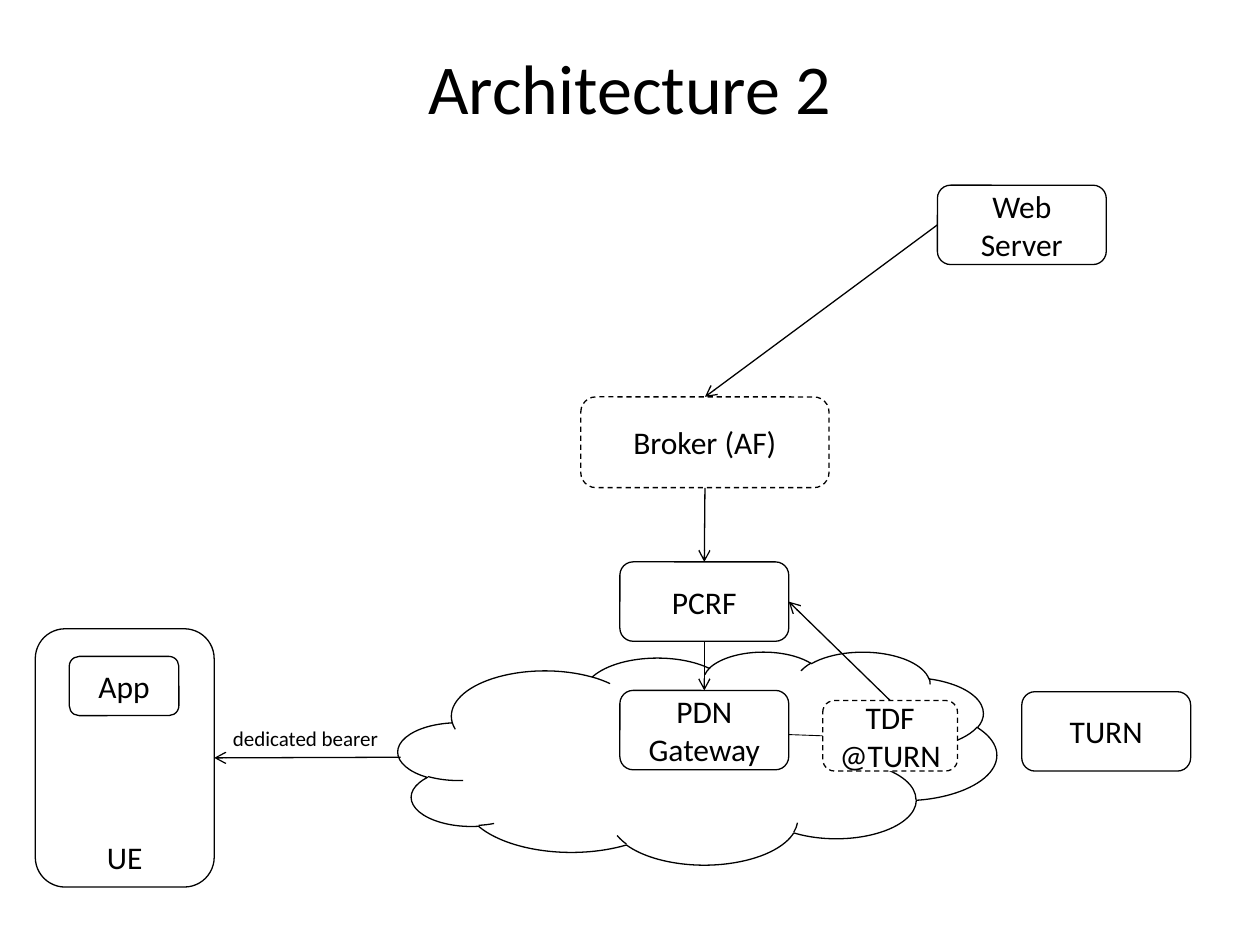
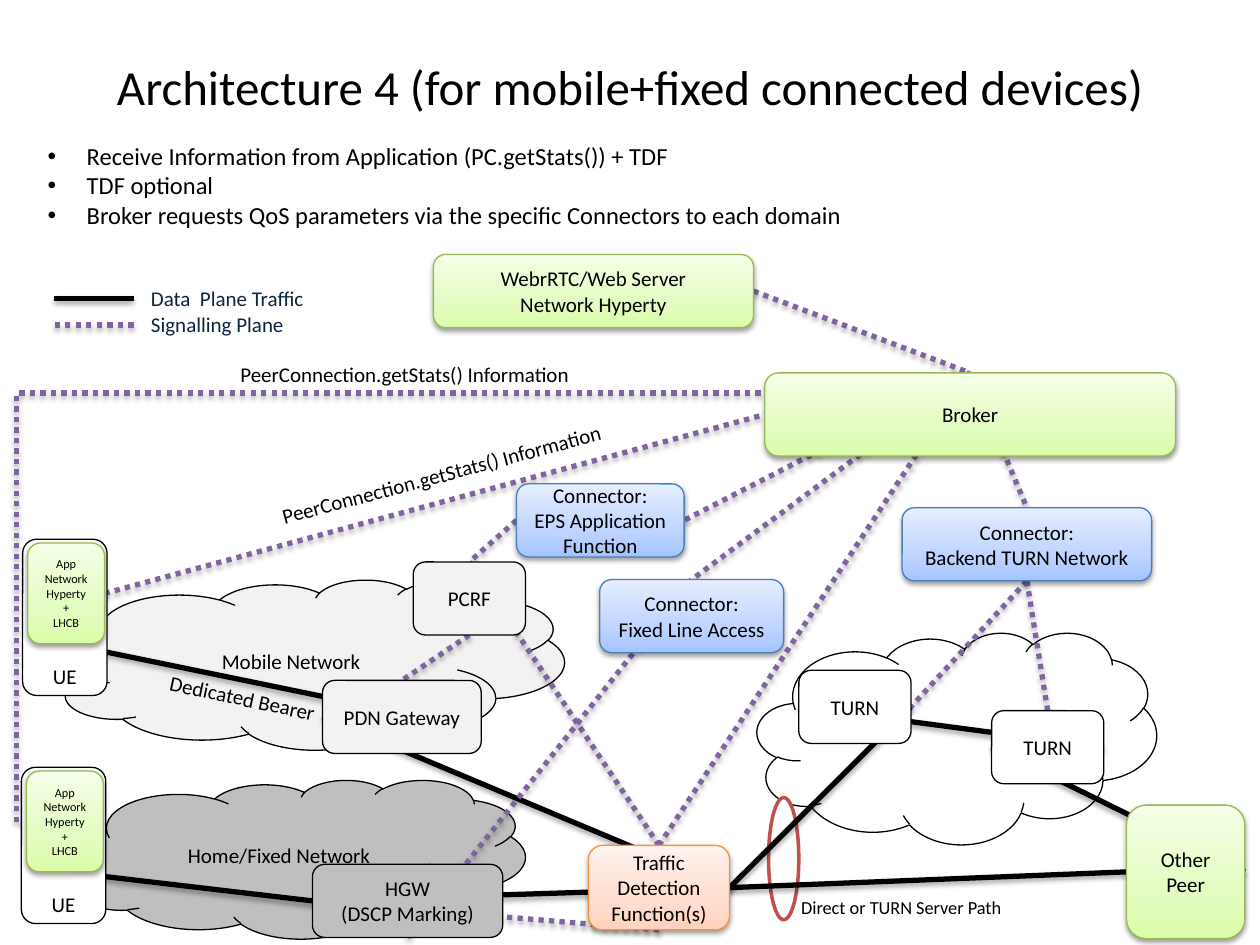
from copy import deepcopy

from lxml.etree import SubElement
from pptx import Presentation
from pptx.dml.color import RGBColor
from pptx.enum.dml import MSO_LINE_DASH_STYLE as Dash
from pptx.enum.shapes import MSO_CONNECTOR_TYPE as Connector
from pptx.enum.shapes import MSO_SHAPE as Preset
from pptx.enum.text import MSO_ANCHOR as Anchor
from pptx.enum.text import PP_ALIGN as Align
from pptx.oxml.ns import qn
from pptx.util import Emu, Inches, Pt

FONT = "Calibri"
COLORS = {
    "black": "000000", "white": "FFFFFF", "navy": "0F243E",
    "light grey": "F2F2F2", "grey": "BFBFBF", "purple": "8064A2",
    "red": "C0504D", "green edge": "98B955", "blue edge": "4B7EBC",
    "orange edge": "F69240",
}
GRADIENTS = {  # from bottom to top
    "green": ("DAFDA7", "E4FCC2", "F5FFE7"),
    "blue": ("A4C4FF", "BFD4FF", "E6EEFF"),
    "orange": ("FFD2BD", "FFDED0", "FFF2ED"),
}
GRADIENT_POSITIONS = (0, 0.35, 1)

BOX_STYLES = {
    "plain": {"fill": "white"},
    "optional": {"fill": "white", "dash": Dash.DASH},
    "device": {"fill": "white", "anchor": Anchor.BOTTOM},
    "mobile": {"fill": "light grey"},
    "fixed": {"fill": "grey"},
    "path": {"fill": "white", "edge": "red", "width": 2},
    "green": {"gradient": "green", "edge": "green edge"},
    "blue": {"gradient": "blue", "edge": "blue edge"},
    "orange": {"gradient": "orange", "edge": "orange edge"},
}
LINK_STYLES = {
    "arrow": {"arrow": True},
    "thin": {"width": 0.5},
    "data": {"width": 3, "shadow": True},
    "signal": {"width": 3, "shadow": True, "color": "purple", "dash": Dash.ROUND_DOT},
}
SITES = {"top": 0, "left": 1, "bottom": 2, "right": 3}

APP = "App\nNetwork Hyperty\n+\nLHCB"
STATS = "PeerConnection.getStats() Information"

# Backdrops: preset, style, text, (left, top, width, height)
# Boxes: name: (style, text, (left, top, width, height), optional font size)
# Links: style, start, end; an end is (box name, side) or a point
# Labels: text, (left, top, width, height), size, rotation, colour
SLIDES = [
    {
        "title": "Architecture 2", "title size": 40, "box size": 18,
        "backdrops": [(Preset.CLOUD, "plain", "", (3.16, 5.17, 4.75, 1.69))],
        "boxes": {
            "ue": ("device", "UE", (0.28, 4.99, 1.42, 2.05)),
            "app": ("plain", "App", (0.55, 5.21, 0.87, 0.47)),
            "pdn": ("plain", "PDN Gateway", (4.92, 5.48, 1.34, 0.63)),
            "pcrf": ("plain", "PCRF", (4.92, 4.46, 1.34, 0.63)),
            "web": ("plain", "Web Server", (7.44, 1.47, 1.34, 0.63)),
            "broker": ("optional", "Broker (AF)", (4.61, 3.15, 1.97, 0.72)),
            "tdf": ("optional", "TDF\n@TURN", (6.53, 5.56, 1.07, 0.56)),
            "turn": ("plain", "TURN", (8.11, 5.49, 1.34, 0.63)),
        },
        "links": [
            ("arrow", (3.18, 6.01), ("ue", "right")),
            ("arrow", ("web", "left"), ("broker", "top")),
            ("arrow", ("broker", "bottom"), ("pcrf", "top")),
            ("arrow", ("pcrf", "bottom"), ("pdn", "top")),
            ("thin", (6.26, 5.83), ("tdf", "left")),
            ("arrow", ("tdf", "top"), ("pcrf", "right")),
        ],
        "labels": [("dedicated bearer", (1.75, 5.71, 1.45, 0.3), 12, 0, "black")],
    },
    {
        "title": "Architecture 4 (for mobile+fixed connected devices)",
        "title size": 28, "box size": 12,
        "bullets": [
            "Receive Information from Application (PC.getStats()) + TDF",
            "TDF optional",
            "Broker requests QoS parameters via the specific Connectors to each domain",
        ],
        "backdrops": [
            (Preset.CLOUD, "mobile", "Mobile Network", (0.43, 4.6, 4.05, 1.35)),
            (Preset.CLOUD, "fixed", "Home/Fixed Network", (0.52, 6.19, 3.65, 1.26)),
            (Preset.CLOUD, "plain", "", (6.01, 5.02, 3.17, 1.68)),
            (Preset.OVAL, "path", "", (6.1, 6.33, 0.24, 0.97)),
        ],
        "boxes": {
            "web": ("green", "WebrRTC/Web Server\nNetwork Hyperty", (3.44, 2.02, 2.54, 0.58)),
            "fixed ue": ("device", "UE", (0.17, 6.09, 0.67, 1.24)),
            "fixed app": ("green", APP, (0.21, 6.12, 0.61, 0.8), 7),
            "mobile ue": ("device", "UE", (0.18, 4.28, 0.67, 1.24)),
            "mobile app": ("green", APP, (0.22, 4.31, 0.61, 0.8), 7),
            "pdn": ("mobile", "PDN Gateway", (2.56, 5.4, 1.26, 0.58)),
            "pcrf": ("mobile", "PCRF", (3.28, 4.46, 0.89, 0.58)),
            "eps": ("blue", "Connector:\nEPS Application Function", (4.1, 3.84, 1.33, 0.58)),
            "backend": ("blue", "Connector:\nBackend TURN Network", (7.16, 4.03, 1.98, 0.58)),
            "line access": ("blue", "Connector:\nFixed Line Access", (4.76, 4.6, 1.46, 0.58)),
            "turn 1": ("plain", "TURN", (6.34, 5.32, 0.89, 0.58)),
            "turn 2": ("plain", "TURN", (7.87, 5.64, 0.89, 0.58)),
            "broker": ("green", "Broker", (6.07, 2.96, 3.26, 0.66)),
            "peer": ("green", "Other Peer", (8.94, 6.39, 0.94, 1.06)),
            "hgw": ("fixed", "HGW\n(DSCP Marking)", (2.48, 6.86, 1.51, 0.58)),
            "tdf": ("orange", "Traffic Detection Function(s)", (4.67, 6.71, 1.12, 0.67)),
        },
        "links": [
            ("data", (3.11, 5.64), ("mobile app", "bottom")),
            ("data", ("pdn", "left"), ("tdf", "right")),
            ("data", ("hgw", "left"), ("tdf", "right")),
            ("data", ("hgw", "left"), ("fixed app", "bottom")),
            ("data", ("turn 1", "left"), ("turn 2", "right")),
            ("data", ("turn 2", "left"), ("peer", "right")),
            ("data", ("tdf", "right"), ("turn 1", "right")),
            ("data", ("tdf", "right"), ("peer", "left")),
            ("data", (1.06, 2.37), (0.43, 2.37)),
            ("signal", (1.06, 2.58), (0.43, 2.58)),
            ("signal", ("web", "right"), ("broker", "top")),
            ("signal", ("eps", "left"), ("pcrf", "top")),
            ("signal", ("pcrf", "bottom"), ("pdn", "top")),
            ("signal", ("tdf", "top"), ("pcrf", "top")),
            ("signal", ("broker", "top"), ("eps", "right")),
            ("signal", ("broker", "top"), ("backend", "top")),
            ("signal", ("broker", "top"), ("line access", "top")),
            ("signal", ("backend", "bottom"), ("turn 1", "right")),
            ("signal", ("backend", "bottom"), ("turn 2", "top")),
            ("signal", ("tdf", "top"), ("broker", "top")),
            ("signal", ("line access", "top"), ("hgw", "bottom")),
            ("signal", ("mobile app", "right"), ("broker", "left")),
            ("signal", ("tdf", "bottom"), ("hgw", "left")),
        ],
        "elbow": ("signal", (0.21, 6.53), (6.07, 3.12), -0.013),
        "labels": [
            ("Dedicated Bearer", (1.24, 5.39, 1.39, 0.3), 12, 12.1, "black"),
            (STATS, (2.1, 3.61, 2.84, 0.3), 12, 345.1, "black"),
            (STATS, (1.81, 2.82, 2.84, 0.3), 12, 0, "black"),
            ("Data  Plane Traffic\nSignalling Plane", (1.1, 2.22, 1.54, 0.5), 12, 0, "navy"),
            ("Direct or TURN Server Path", (6.26, 7.06, 2.38, 0.29), 10.5, 0, "black"),
        ],
    },
]


def inches(values):
    return [Inches(value) for value in values]


def rgb(name):
    return RGBColor.from_string(COLORS[name])


def write(shape, text, size, color="black", align=Align.LEFT, **frame_format):
    frame = shape.text_frame
    frame.text = text
    for name, value in {"word_wrap": True, **frame_format}.items():
        setattr(frame, name, value)
    for paragraph in frame.paragraphs:
        paragraph.alignment = align
        paragraph.font.color.rgb = rgb(color)
        for name, value in {"name": FONT, "size": Pt(size)}.items():
            setattr(paragraph.font, name, value)


def add_text(slide, text, place, size, rotation=0, color="black", **text_format):
    box = slide.shapes.add_textbox(*inches(place))
    box.rotation = rotation
    write(box, text, size, color, **text_format)
    return box


def set_line(line, color, width, dash=None):
    line.color.rgb = rgb(color)
    line.width = Pt(width)
    if dash:
        line.dash_style = dash


def add_shadow(effects, distance, opacity):
    shadow = SubElement(effects, qn("a:outerShdw"), blurRad=str(Pt(3.1)),
                        dist=str(Pt(distance)), dir="5400000", rotWithShape="0")
    color = SubElement(shadow, qn("a:srgbClr"), val=COLORS["black"])
    SubElement(color, qn("a:alpha"), val=str(opacity * 1000))


def fill_gradient(shape, colors):
    shape.fill.gradient()
    shape.fill.gradient_angle = 90
    stops = shape._element.spPr.find(".//" + qn("a:gsLst"))
    stops.insert(1, deepcopy(stops[0]))
    for stop, color, position in zip(shape.fill.gradient_stops, colors, GRADIENT_POSITIONS):
        stop.color.rgb = RGBColor.from_string(color)
        stop.position = position


def add_box(slide, preset, style_name, text, place, size):
    style = BOX_STYLES[style_name]
    shape = slide.shapes.add_shape(preset, *inches(place))
    shape.shadow.inherit = False
    set_line(shape.line, style.get("edge", "black"), style.get("width", 0.75), style.get("dash"))
    if "gradient" in style:
        fill_gradient(shape, GRADIENTS[style["gradient"]])
        add_shadow(shape._element.spPr.find(qn("a:effectLst")), 1.6, 38)
    else:
        shape.fill.solid()
        shape.fill.fore_color.rgb = rgb(style["fill"])
    if text:
        anchor = style.get("anchor", Anchor.MIDDLE)
        margin = Inches(0.02 if anchor == Anchor.BOTTOM else 0.05)
        write(shape, text, size, align=Align.CENTER, vertical_anchor=anchor, margin_bottom=margin)
    return shape


def add_link(slide, boxes, style_name, start, end, kind=Connector.STRAIGHT):
    """Join two ends, each a point or a side of a box, behind all boxes."""
    style = LINK_STYLES[style_name]
    points = [(0, 0) if end_ in boxes or end_[0] in boxes else inches(end_)
              for end_ in (start, end)]
    link = slide.shapes.add_connector(kind, *[Emu(value) for point in points for value in point])
    for connect, (place, side) in ((link.begin_connect, start), (link.end_connect, end)):
        if place in boxes:
            connect(boxes[place], SITES[side])
    set_line(link.line, style.get("color", "black"), style.get("width", 0.75), style.get("dash"))
    properties = link._element.spPr
    if style.get("arrow"):
        SubElement(properties.find(qn("a:ln")), qn("a:tailEnd"), type="arrow")
    effects = SubElement(properties, qn("a:effectLst"))
    if style.get("shadow"):
        add_shadow(effects, 1.8, 35)
    next(iter(boxes.values()))._element.addprevious(link._element)
    return link


def add_elbow(slide, boxes, style_name, start, end, bend):
    link = add_link(slide, boxes, style_name, start, end, Connector.ELBOW)
    guides = link._element.spPr.find(".//" + qn("a:avLst"))
    SubElement(guides, qn("a:gd"), name="adj1", fmla=f"val {round(bend * 100000)}")


def add_bullets(slide, lines):
    box = add_text(slide, "\n".join(lines), (0.28, 1.07, 9.91, 0.81), 14)
    indent = Inches(0.31)
    for paragraph in box.text_frame.paragraphs:
        properties = paragraph._p.get_or_add_pPr()
        properties.set("marL", str(indent))
        properties.set("indent", str(-indent))
        SubElement(properties, qn("a:buFont"), typeface="Arial")
        SubElement(properties, qn("a:buChar"), char="•")
        # Bullet marks come before the default run format
        default_format = properties.find(qn("a:defRPr"))
        if default_format is not None:
            properties.append(default_format)


def build_slide(presentation, content):
    slide = presentation.slides.add_slide(presentation.slide_layouts[6])
    size = content["box size"]
    for preset, style, text, place in content["backdrops"]:
        add_box(slide, preset, style, text, place, size)
    add_text(slide, content["title"], (0.5, 0.3, 9, 0.77), content["title size"],
             align=Align.CENTER, vertical_anchor=Anchor.MIDDLE)
    boxes = {}
    for name, (style, text, place, *own_size) in content["boxes"].items():
        boxes[name] = add_box(slide, Preset.ROUNDED_RECTANGLE, style, text, place, *own_size or [size])
    for link in content["links"]:
        add_link(slide, boxes, *link)
    if "elbow" in content:
        add_elbow(slide, boxes, *content["elbow"])
    for label in content["labels"]:
        add_text(slide, *label)
    if "bullets" in content:
        add_bullets(slide, content["bullets"])


def main():
    presentation = Presentation()
    presentation.slide_width, presentation.slide_height = inches((10, 7.5))
    for content in SLIDES:
        build_slide(presentation, content)
    presentation.save("out.pptx")


if __name__ == "__main__":
    main()
